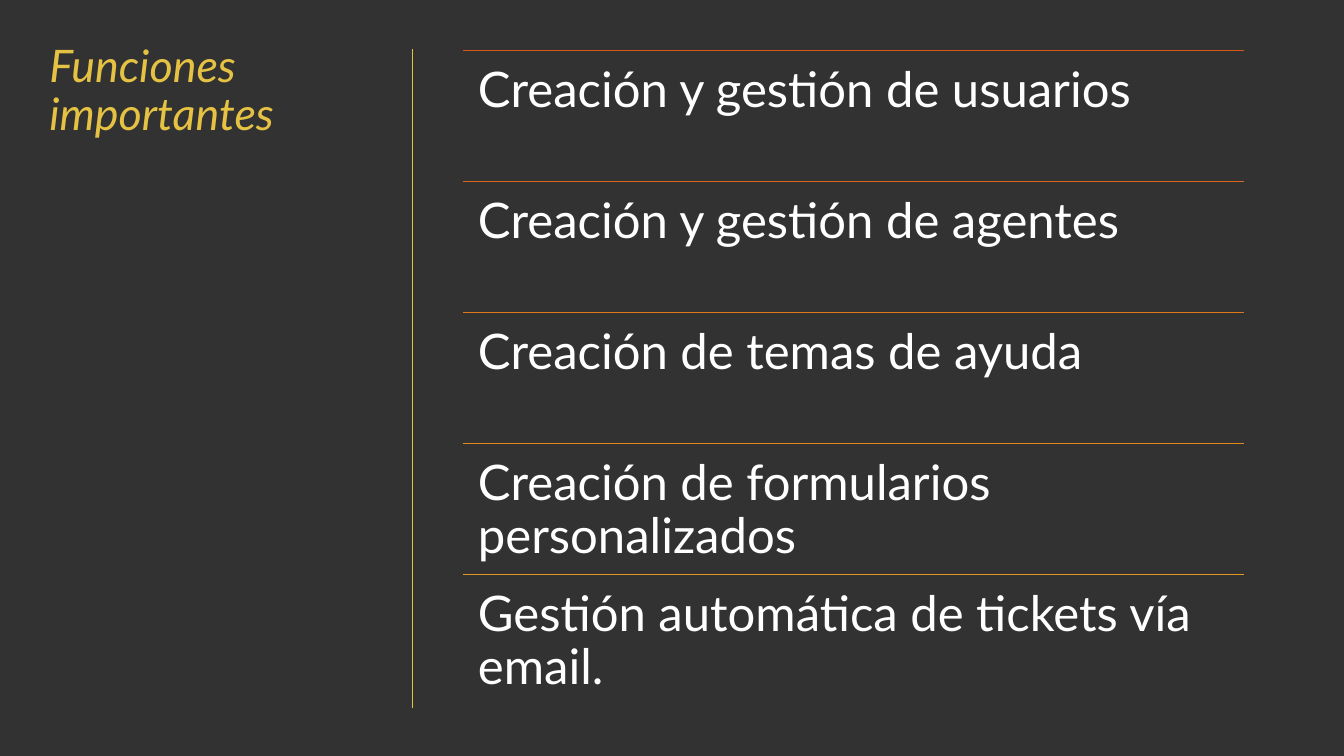
import pptx
import pptx.util
import pptx.dml.color
import pptx.enum.shapes
import pptx.enum.text
import pptx.oxml.ns
from lxml import etree

RGB = pptx.dml.color.RGBColor
CHARCOAL = RGB(0x32, 0x32, 0x32)
GOLD = RGB(0xE5, 0xC2, 0x43)
WHITE = RGB(0xFF, 0xFF, 0xFF)

# Each function with the colour of the rule above it
FUNCTIONS = [
    ("Creación y gestión de usuarios", RGB(0xD5, 0x58, 0x16)),
    ("Creación y gestión de agentes", RGB(0xD9, 0x68, 0x18)),
    ("Creación de temas de ayuda", RGB(0xDE, 0x78, 0x1B)),
    ("Creación de formularios personalizados", RGB(0xE2, 0x89, 0x1D)),
    ("Gestión automática de tickets vía email.", RGB(0xE1, 0x98, 0x25)),
]
LIST_LEFT, LIST_TOP, LIST_WIDTH, ROW_HEIGHT = 459, 50, 775, 130


def px(n):
    """Turn px, 100 to the inch, into EMU."""
    return pptx.util.Emu(n * 9144)


class Deck:
    font = "Lato"
    line_spacing = 0.9
    rule_width = pptx.util.Pt(0.75)

    def __init__(self, width, height):
        self.prs = pptx.Presentation()
        self.prs.slide_width, self.prs.slide_height = px(width), px(height)

    def add_slide(self, color):
        """Start a title-only slide with a plain background."""
        self.s = self.prs.slides.add_slide(self.prs.slide_layouts[5])
        fill = self.s.background.fill
        fill.solid()
        fill.fore_color.rgb = color

    def set_text(self, sp, text, size, color, inset, italic=False):
        tf = sp.text_frame
        tf.text = text
        tf.word_wrap = True
        tf.auto_size = pptx.enum.text.MSO_AUTO_SIZE.NONE
        tf.vertical_anchor = pptx.enum.text.MSO_ANCHOR.TOP
        tf.margin_left = tf.margin_right = px(inset)
        tf.margin_top = tf.margin_bottom = px(inset)
        p = tf.paragraphs[0]
        p.alignment = pptx.enum.text.PP_ALIGN.LEFT
        p.line_spacing = self.line_spacing
        r = p.runs[0]
        r.font.name = self.font
        r.font.size = pptx.util.Pt(size)
        r.font.italic = italic
        r.font.color.rgb = color

    def title(self, text, left, top, width, height):
        sp = self.s.shapes.title
        sp.left, sp.top, sp.width, sp.height = map(px, (left, top, width, height))
        self.set_text(sp, text, 32, GOLD, 0, italic=True)

    def text(self, text, left, top, width, height):
        sp = self.s.shapes.add_textbox(*map(px, (left, top, width, height)))
        self.set_text(sp, text, 35, WHITE, 15)

    def line(self, x1, y1, x2, y2, color):
        straight = pptx.enum.shapes.MSO_CONNECTOR.STRAIGHT
        c = self.s.shapes.add_connector(straight, *map(px, (x1, y1, x2, y2)))
        c.line.color.rgb = color
        c.line.width = self.rule_width
        etree.SubElement(c._element.spPr, pptx.oxml.ns.qn("a:effectLst"))


def main():
    deck = Deck(1333, 750)
    deck.add_slide(CHARCOAL)
    deck.title("Funciones importantes", 49, 43, 312, 652)
    deck.line(409, 49, 409, 702, GOLD)
    for i, (function, color) in enumerate(FUNCTIONS):
        top = LIST_TOP + i * ROW_HEIGHT
        deck.line(LIST_LEFT, top, LIST_LEFT + LIST_WIDTH, top, color)
        deck.text(function, LIST_LEFT, top, LIST_WIDTH, ROW_HEIGHT)
    deck.prs.save("out.pptx")


if __name__ == "__main__":
    main()
